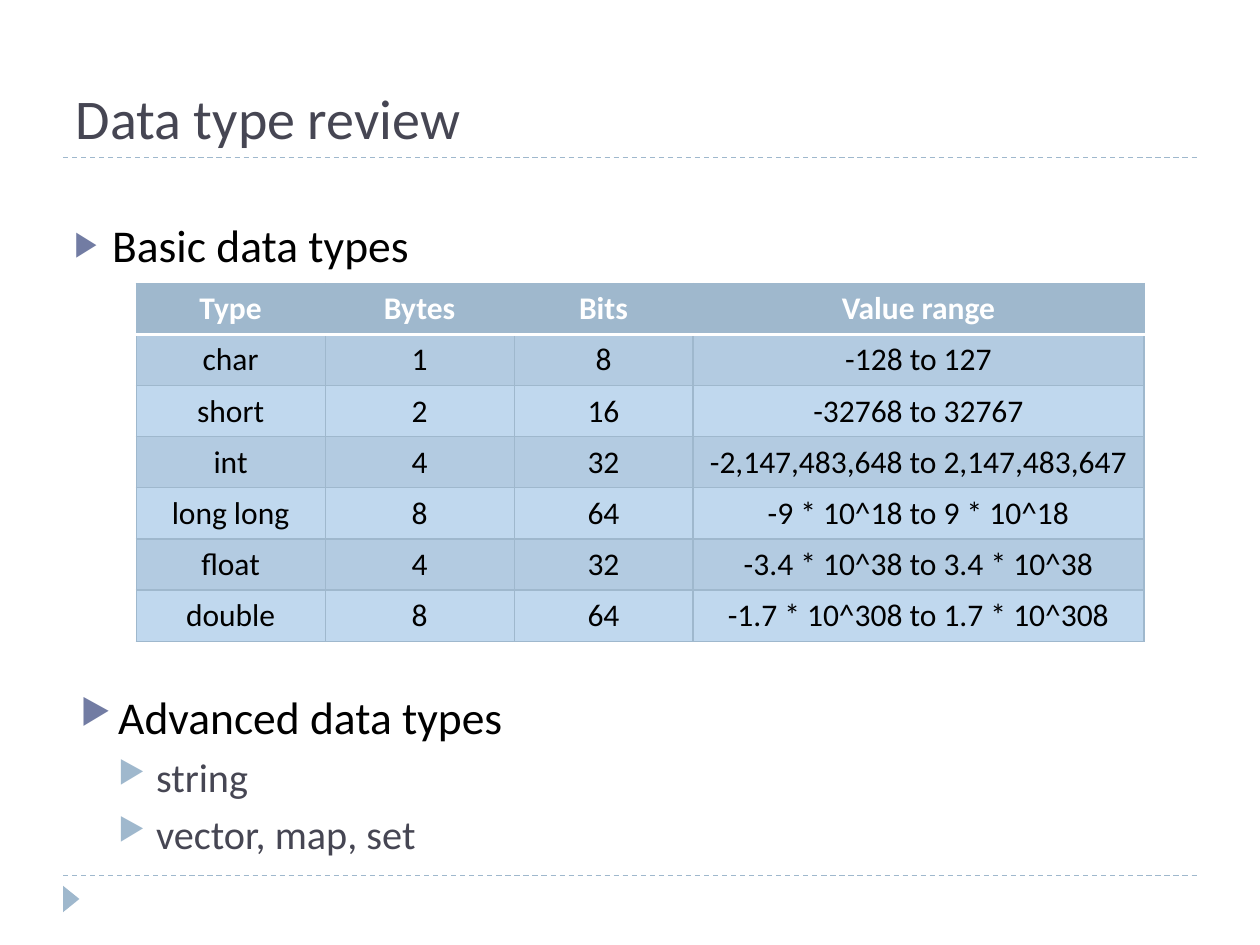
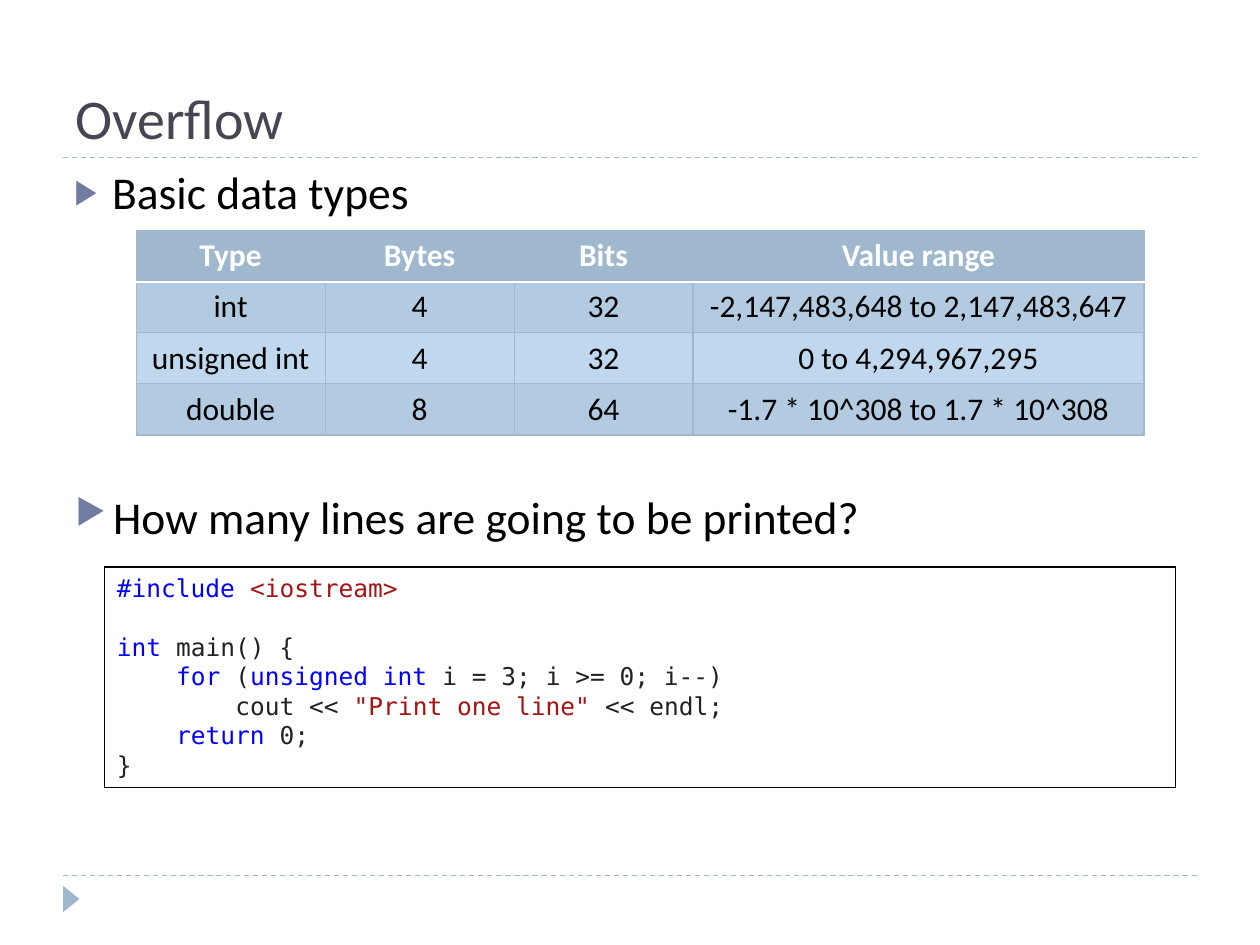
from lxml import etree
from pptx import Presentation
from pptx.dml.color import RGBColor
from pptx.enum.dml import MSO_LINE
from pptx.enum.shapes import MSO_CONNECTOR, MSO_SHAPE
from pptx.enum.text import MSO_ANCHOR, MSO_AUTO_SIZE, PP_ALIGN
from pptx.oxml.ns import qn
from pptx.util import Inches, Pt

DASH = MSO_LINE.DASH
STRAIGHT = MSO_CONNECTOR.STRAIGHT
TRIANGLE, RECTANGLE = MSO_SHAPE.ISOSCELES_TRIANGLE, MSO_SHAPE.RECTANGLE
TOP, BOTTOM = MSO_ANCHOR.TOP, MSO_ANCHOR.BOTTOM
NO_AUTOFIT = MSO_AUTO_SIZE.NONE
LEFT, CENTER = PP_ALIGN.LEFT, PP_ALIGN.CENTER

# Shared look
FONT, CODE_FONT = "Calibri", "DejaVu Sans Mono"
ACCENT, BULLET, HEADING = "9FB8CD", "727CA3", "464653"
BLACK, WHITE = "000000", "FFFFFF"
BAND_DARK, BAND_LIGHT = "B3CBE1", "C0D8EE"
KEYWORD, LITERAL, PLAIN = "0000FF", "A31515", "222222"

# Bullet levels: size, text colour, bullet colour, space before
LEVELS = [(26, BLACK, BULLET, 6), (23, HEADING, ACCENT, 5)]
BULLET_INDENT = 0.3

COLUMN_WIDTHS = [1.5, 1.5, 1.42, 3.58]
ROW_HEIGHT = 2.84 / 7
HEADER = ("Type", "Bytes", "Bits", "Value range")
INT_ROW = ("int", "4", "32", "-2,147,483,648 to 2,147,483,647")
DOUBLE_ROW = ("double", "8", "64", "-1.7 * 10^308 to 1.7 * 10^308")
REVIEW_ROWS = [
    HEADER,
    ("char", "1", "8", "-128 to 127"),
    ("short", "2", "16", "-32768 to 32767"),
    INT_ROW,
    ("long long", "8", "64", "-9 * 10^18 to 9 * 10^18"),
    ("float", "4", "32", "-3.4 * 10^38 to 3.4 * 10^38"),
    DOUBLE_ROW,
]
OVERFLOW_ROWS = [
    HEADER,
    INT_ROW,
    ("unsigned int", "4", "32", "0 to 4,294,967,295"),
    DOUBLE_ROW,
]

# Code lines: indent level, space before in points, coloured pieces
CODE_INDENT = 0.47
CODE_LINES = [
    (0, 0, [("#include ", KEYWORD), ("<iostream>", LITERAL)]),
    (0, 16.8, [("int", KEYWORD), (" main() {", PLAIN)]),
    (1, 0, [("for", KEYWORD), (" (", PLAIN), ("unsigned int ", KEYWORD),
            ("i = 3; i >= 0; i--)", PLAIN)]),
    (2, 0, [("cout << ", PLAIN), ('"Print one line"', LITERAL),
            (" << endl;", PLAIN)]),
    (1, 0, [("return", KEYWORD), (" 0;", PLAIN)]),
    (0, 0, [("}", PLAIN)]),
]


def color(value):
    return RGBColor.from_string(value)


def add_text(paragraph, text, size=18, fill=BLACK, font=FONT, bold=False):
    run = paragraph.add_run()
    run.text = text
    run.font.size = Pt(size)
    run.font.name = font
    run.font.bold = bold
    run.font.color.rgb = color(fill)


def add_child(parent, tag, **attributes):
    child = etree.SubElement(parent, qn(tag))
    for name, value in attributes.items():
        child.set(name, str(value))
    return child


def place(shape, left, top, width, height):
    shape.left, shape.top = Inches(left), Inches(top)
    shape.width, shape.height = Inches(width), Inches(height)


def paragraphs_for(text_frame, items):
    """Yield a paragraph with each item, starting from the existing one."""
    for index, item in enumerate(items):
        first = index == 0
        yield (text_frame.paragraphs[0] if first
               else text_frame.add_paragraph()), item


def set_left_indent(paragraph, left, first_line=0):
    properties = paragraph._p.get_or_add_pPr()
    properties.set("marL", str(Inches(left)))
    properties.set("indent", str(Inches(first_line)))
    return properties


def fill_bullets(shape, items):
    """Write (level, text) items as a bulleted list."""
    frame = shape.text_frame
    frame.word_wrap = True
    frame.auto_size = NO_AUTOFIT
    frame.vertical_anchor = TOP
    for paragraph, (level, text) in paragraphs_for(frame, items):
        size, text_color, bullet_color, space = LEVELS[level]
        paragraph.level = level
        paragraph.alignment = LEFT
        paragraph.space_before = Pt(space)
        properties = set_left_indent(
            paragraph, BULLET_INDENT * (level + 1), -BULLET_INDENT)
        bullet_fill = add_child(properties, "a:buClr")
        add_child(bullet_fill, "a:srgbClr", val=bullet_color)
        add_child(properties, "a:buSzPct", val=76000)
        add_child(properties, "a:buChar", char="▶")
        add_text(paragraph, text, size=size, fill=text_color)


def add_bullet_box(slide, left, top, height, items):
    box = slide.shapes.add_textbox(
        Inches(left), Inches(top), Inches(9), Inches(height))
    fill_bullets(box, items)


def add_rule(slide, top):
    rule = slide.shapes.add_connector(
        STRAIGHT, Inches(0.5), Inches(top), Inches(9.5), Inches(top))
    rule.line.color.rgb = color(ACCENT)
    rule.line.width = Pt(0.75)
    rule.line.dash_style = DASH
    add_child(rule.element.spPr, "a:effectLst")
    return rule


def add_marker(slide):
    marker = slide.shapes.add_shape(
        TRIANGLE, Inches(0.46), Inches(7.07), Inches(0.21), Inches(0.13))
    marker.rotation = 90
    marker.shadow.inherit = False
    marker.fill.solid()
    marker.fill.fore_color.rgb = color(ACCENT)
    marker.line.fill.background()
    return marker


def decorate_layout(slide):
    """Draw the rules and the corner marker, then move them to the layout."""
    parts = [add_rule(slide, 6.95), add_rule(slide, 1.25), add_marker(slide)]
    tree = slide.slide_layout.shapes.element
    for number, part in enumerate(parts, start=101):
        part.element.xpath(".//p:cNvPr")[0].set("id", str(number))
        tree.append(part.element)


def add_slide(presentation, title, body_top, body_text):
    layout = presentation.slide_layouts[1]
    slide = presentation.slides.add_slide(layout)
    heading, body = slide.shapes.title, slide.placeholders[1]
    place(heading, 0.5, 0.17, 9, 1.08)
    frame = heading.text_frame
    frame.vertical_anchor = BOTTOM
    frame.auto_size = NO_AUTOFIT
    frame.paragraphs[0].alignment = LEFT
    add_text(frame.paragraphs[0], title, size=32, fill=HEADING)
    place(body, 0.49, body_top, 9, 0.75)
    fill_bullets(body, [(0, body_text)])
    return slide


def set_border(cell, side, border_color, width):
    line = add_child(cell._tc.get_or_add_tcPr(), f"a:ln{side}", w=Pt(width))
    fill = add_child(line, "a:solidFill")
    add_child(fill, "a:srgbClr", val=border_color)


def format_cell(cell, text, row):
    # Borders come before the fill in the cell properties
    thin, header_edge = (ACCENT, 0.75), (WHITE, 1.5)
    set_border(cell, "L", *thin)
    set_border(cell, "R", *thin)
    set_border(cell, "T", *(header_edge if row == 1 else thin))
    set_border(cell, "B", *(header_edge if row == 0 else thin))
    is_header = row == 0
    band = BAND_DARK if row % 2 else BAND_LIGHT
    cell.fill.solid()
    cell.fill.fore_color.rgb = color(ACCENT if is_header else band)
    paragraph = cell.text_frame.paragraphs[0]
    paragraph.alignment = CENTER
    add_text(paragraph, text, bold=is_header,
             fill=WHITE if is_header else BLACK)


def add_type_table(slide, top, rows):
    table = slide.shapes.add_table(
        len(rows), len(HEADER), Inches(1.08), Inches(top),
        Inches(sum(COLUMN_WIDTHS)), Inches(ROW_HEIGHT * len(rows))).table
    table.horz_banding = False
    for column, width in zip(table.columns, COLUMN_WIDTHS):
        column.width = Inches(width)
    for row_index, values in enumerate(rows):
        table.rows[row_index].height = Inches(ROW_HEIGHT)
        for column_index, value in enumerate(values):
            format_cell(table.cell(row_index, column_index), value, row_index)


def add_code_box(slide):
    box = slide.shapes.add_shape(
        RECTANGLE, Inches(0.83), Inches(4.5), Inches(8.5), Inches(1.75))
    box.shadow.inherit = False
    box.fill.background()
    box.line.color.rgb = color(BLACK)
    box.line.width = Pt(0.75)
    frame = box.text_frame
    frame.word_wrap = True
    frame.vertical_anchor = TOP
    for paragraph, line in paragraphs_for(frame, CODE_LINES):
        level, space, pieces = line
        paragraph.alignment = LEFT
        paragraph.space_before = Pt(space)
        set_left_indent(paragraph, CODE_INDENT * level)
        for text, text_color in pieces:
            add_text(paragraph, text, size=14, fill=text_color, font=CODE_FONT)


def main():
    presentation = Presentation()
    presentation.slide_width = Inches(10)
    presentation.slide_height = Inches(7.5)

    # Data type review
    review = add_slide(presentation, "Data type review", 1.67,
                       "Basic data types")
    decorate_layout(review)
    add_type_table(review, 2.25, REVIEW_ROWS)
    add_bullet_box(review, 0.54, 5.42, 1.5, [
        (0, "Advanced data types"), (1, "string"), (1, "vector, map, set")])

    # Overflow
    overflow = add_slide(presentation, "Overflow", 1.25, "Basic data types")
    add_type_table(overflow, 1.83, OVERFLOW_ROWS)
    add_code_box(overflow)
    add_bullet_box(overflow, 0.5, 3.83, 0.75, [
        (0, "How many lines are going to be printed?")])

    presentation.save("out.pptx")


main()
